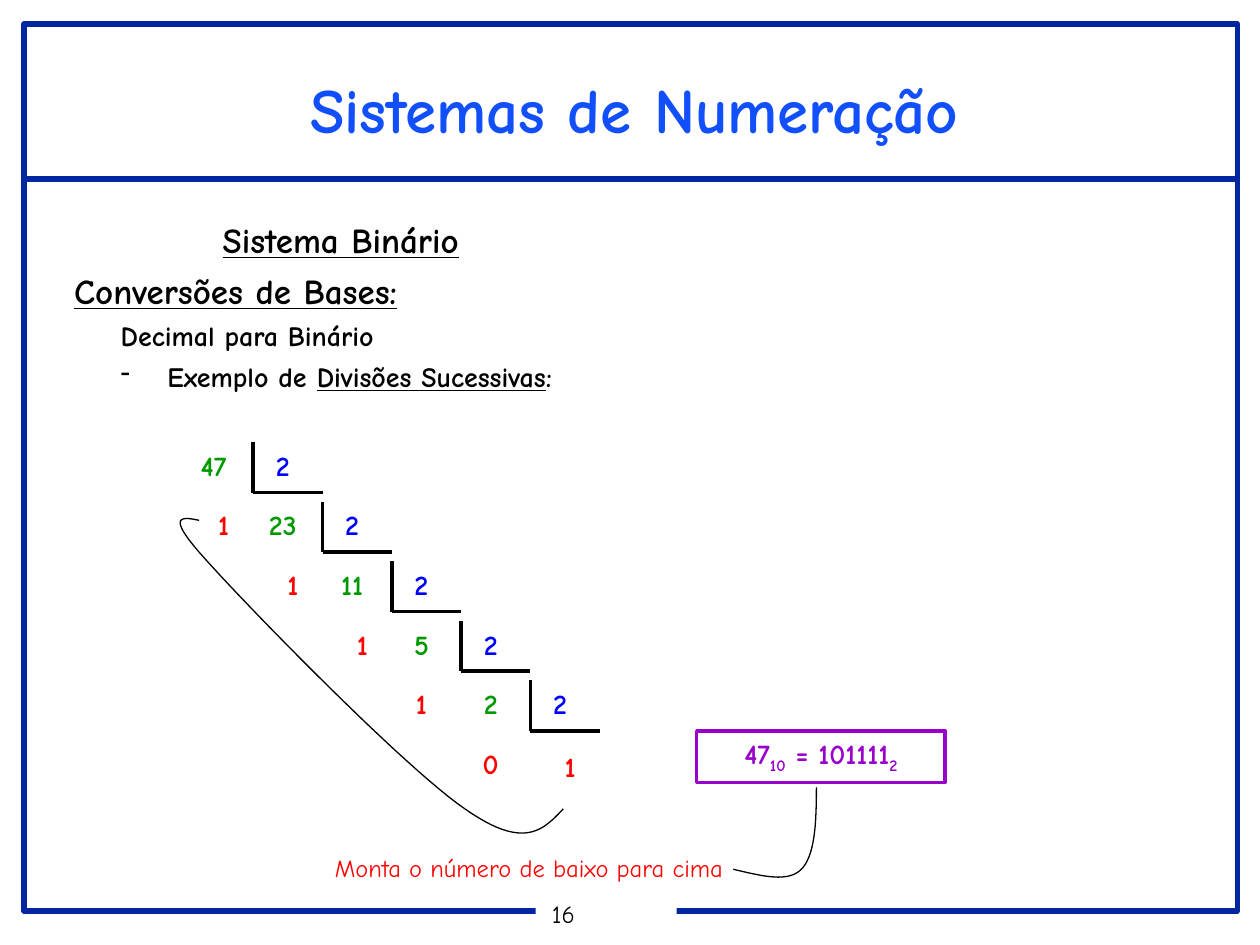
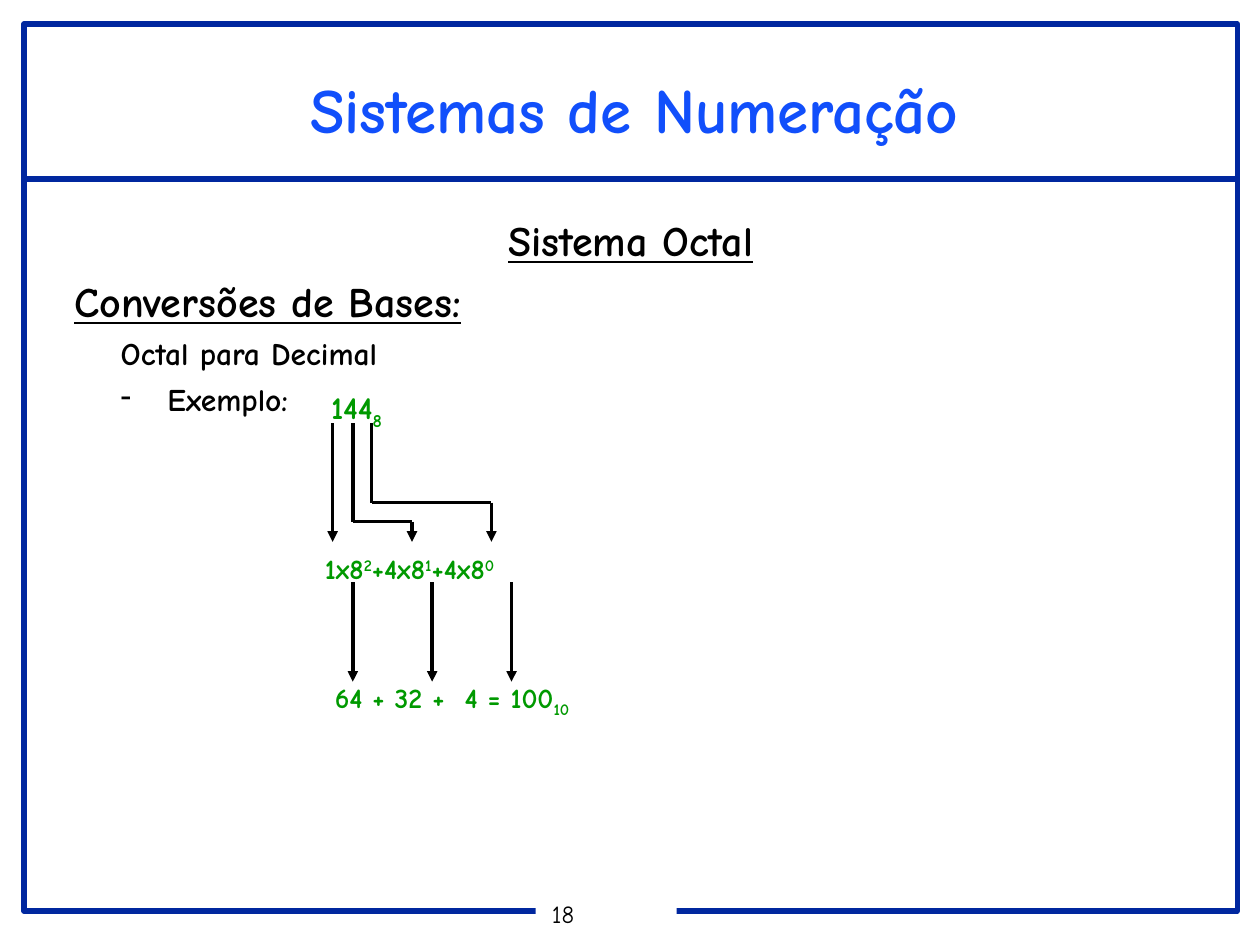
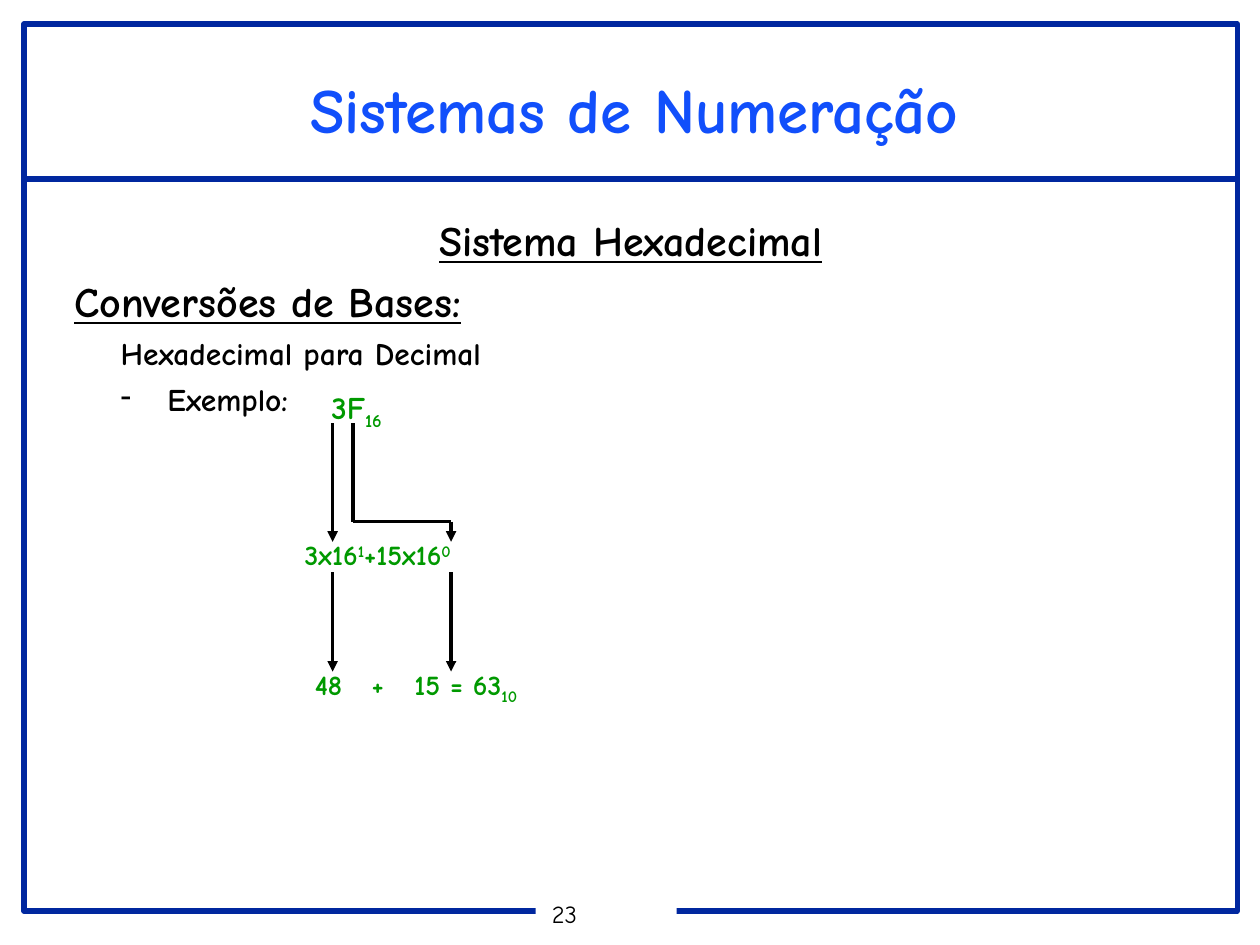
from lxml import etree
from pptx import Presentation
from pptx.dml.color import RGBColor
from pptx.enum.shapes import MSO_CONNECTOR, MSO_SHAPE
from pptx.enum.text import MSO_ANCHOR, MSO_AUTO_SIZE, PP_ALIGN
from pptx.oxml.ns import qn
from pptx.util import Inches, Pt

STRAIGHT = MSO_CONNECTOR.STRAIGHT
RECTANGLE = MSO_SHAPE.RECTANGLE
TOP = MSO_ANCHOR.TOP
LEFT, CENTER = PP_ALIGN.LEFT, PP_ALIGN.CENTER
FONT = "Comic Neue"
TITLE = "Sistemas de Numeração"
SUB, SUPER = -25000, 30000
TITLE_ONLY = 5
COLORS = {
    "frame": "00279F",
    "title": "114FFB",
    "text": "000000",
    "page": "FFFFFF",
    "quotient": "009900",
    "divisor": "0000FF",
    "remainder": "FF0000",
    "result": "9900CC",
}


def color(name):
    return RGBColor.from_string(COLORS[name])


def format_span(span, size, color_name, bold=True, underline=False, baseline=0):
    font = span.font
    font.name = FONT
    font.size = Pt(size)
    font.bold = bold
    font.underline = underline
    font.color.rgb = color(color_name)
    if baseline:
        font._element.set("baseline", str(baseline))


def set_frame(frame, side=0.1, edge=0.05):
    frame.word_wrap = True
    frame.auto_size = MSO_AUTO_SIZE.NONE
    frame.vertical_anchor = TOP
    frame.margin_left = frame.margin_right = Inches(side)
    frame.margin_top = frame.margin_bottom = Inches(edge)


def write_spans(para, spans, size, color_name, bold=True, align=LEFT):
    para.alignment = align
    for text, baseline in spans:
        span = para.add_run()
        span.text = text
        format_span(span, size, color_name, bold, baseline=baseline)


def add_text(page, at, spans, color_name, size=16, align=LEFT, bold=True, tabs=()):
    box = page.shapes.add_textbox(*map(Inches, at))
    set_frame(box.text_frame)
    para = box.text_frame.paragraphs[0]
    if tabs:
        tab_list = etree.SubElement(para._p.get_or_add_pPr(), qn("a:tabLst"))
        for stop in tabs:
            etree.SubElement(tab_list, qn("a:tab"), pos=str(Inches(stop)), algn="l")
    write_spans(para, spans, size, color_name, bold, align)


def add_number(page, left, top, text, color_name):
    add_text(page, (left, top, 0.47, 0.37), [(text, 0)], color_name, align=CENTER)


def add_rectangle(page, at, fill=None, line=None, width=0):
    box = page.shapes.add_shape(RECTANGLE, *map(Inches, at))
    box.shadow.inherit = False
    if fill:
        box.fill.solid()
        box.fill.fore_color.rgb = color(fill)
    else:
        box.fill.background()
    if line:
        box.line.color.rgb = color(line)
        box.line.width = Pt(width)
    else:
        box.line.fill.background()
    return box


def add_route(page, points, arrow=False, color_name="text", width=2):
    for start, end in zip(points, points[1:]):
        line = page.shapes.add_connector(STRAIGHT, *map(Inches, start + end))
        line.line.color.rgb = color(color_name)
        line.line.width = Pt(width)
        etree.SubElement(line._element.spPr, qn("a:effectLst"))
    if arrow:
        etree.SubElement(line.line._get_or_add_ln(), qn("a:tailEnd"), type="triangle")


def curve_point(p0, p1, p2, p3, t):
    s = 1 - t
    return tuple(
        Inches(s**3 * a + 3 * s * s * t * b + 3 * s * t * t * c + t**3 * d)
        for a, b, c, d in zip(p0, p1, p2, p3)
    )


def add_curve(page, points, steps=24):
    outline = []
    for first in range(0, len(points) - 1, 3):
        segment = points[first:first + 4]
        outline += [curve_point(*segment, step / steps) for step in range(1, steps + 1)]
    builder = page.shapes.build_freeform(*map(Inches, points[0]))
    builder.add_line_segments(outline, close=False)
    curve = builder.convert_to_shape()
    curve.shadow.inherit = False
    curve.fill.background()
    curve.line.color.rgb = color("text")
    curve.line.width = Pt(0.75)


def add_page(deck, number):
    page = deck.slides.add_slide(deck.slide_layouts[TITLE_ONLY])
    add_route(page, [(0.19, 1.42), (9.81, 1.42)], color_name="frame", width=3)
    add_rectangle(page, (0.19, 0.19, 9.63, 7.04), line="frame", width=3)
    label = add_rectangle(page, (4.25, 7.13, 1.12, 0.27), fill="page")
    set_frame(label.text_frame, 0.13, 0.03)
    para = label.text_frame.paragraphs[0]
    para.line_spacing = 0.9
    write_spans(para, [(str(number), 0)], 14, "text", bold=False)

    title = page.shapes.title
    title.left, title.top, title.width, title.height = map(Inches, (2.06, 0.57, 5.95, 1.2))
    set_frame(title.text_frame, 0.07, 0.03)
    title.text_frame.text = TITLE
    para = title.text_frame.paragraphs[0]
    para.alignment = CENTER
    para.line_spacing = 0.95
    format_span(para.runs[0], 36, "title")
    return page


def add_outline(page, at, system, conversion, example, sizes, gaps):
    box = page.shapes.add_textbox(*map(Inches, at))
    frame = box.text_frame
    set_frame(frame)
    frame.text = "\n".join([system, "Conversões de Bases:", conversion])
    for index, para in enumerate(frame.paragraphs):
        heading = index < 2
        format_span(para.runs[0], sizes[not heading], "text", underline=heading)
    frame.paragraphs[0].alignment = CENTER
    item = frame.add_paragraph()
    for text, underline in example:
        span = item.add_run()
        span.text = text
        format_span(span, sizes[1], "text", underline=underline)
    for index, para in enumerate(frame.paragraphs):
        para.line_spacing = 0.9
        if index:
            para.space_before = Pt(gaps[index > 1])
        if index > 1:
            para.level = 1
            properties = para._p.get_or_add_pPr()
            properties.set("marL", str(Inches(0.74)))
            properties.set("indent", str(Inches(-0.37)))
            if para.text.startswith("Exemplo"):
                etree.SubElement(properties, qn("a:buChar"), char="-")
            else:
                etree.SubElement(properties, qn("a:buNone"))


def add_divisions(page, quotients, remainders):
    step_x, step_y = 0.55, 0.4725
    for index, (quotient, remainder) in enumerate(zip(quotients, remainders)):
        left, top = 1.46 + index * step_x, 3.51 + index * step_y
        corner = left + step_x
        add_number(page, left, top, quotient, "quotient")
        add_route(page, [(corner, top), (corner, top + 0.4), (corner + step_x, top + 0.4)])
        add_number(page, corner, top, "2", "divisor")
        shift = 0.08 if index < 3 else 0
        add_number(page, left + shift, top + step_y, remainder, "remainder")
    add_number(page, 4.29, 5.9, "1", "remainder")


def add_binary_page(deck):
    page = add_page(deck, 16)
    add_outline(
        page, (0.49, 1.72, 4.43, 5.13), "Sistema Binário", "Decimal para Binário",
        [("Exemplo de ", False), ("Divisões Sucessivas", True), (":", False)],
        (20, 16), (7.5, 6),
    )
    add_divisions(page, ["47", "23", "11", "5", "2"], "11110")
    result = add_rectangle(page, (5.53, 5.8, 1.97, 0.41), line="result", width=2)
    set_frame(result.text_frame)
    spans = [("47", 0), ("10", SUB), (" = 101111", 0), ("2", SUB)]
    write_spans(result.text_frame.paragraphs[0], spans, 16, "result", align=CENTER)
    add_curve(page, [
        (4.47, 6.42), (4.31, 6.59), (4.16, 6.75), (3.69, 6.42), (3.22, 6.1),
        (2, 4.85), (1.65, 4.46), (1.3, 4.08), (1.44, 4.1), (1.58, 4.13),
    ])
    add_text(page, (2.56, 6.72, 3.4, 0.32), [("Monta o número de baixo para cima", 0)],
             "remainder", size=14, bold=False)
    add_curve(page, [
        (5.82, 6.9), (6.04, 6.95), (6.25, 7.01), (6.36, 6.9),
        (6.47, 6.79), (6.48, 6.52), (6.48, 6.25),
    ])


def add_decimal_page(deck, number, system, conversion, source, powers, total, routes, drops):
    page = add_page(deck, number)
    add_outline(page, (0.49, 1.7, 9.03, 5.13), system, conversion,
                [("Exemplo:", False)], (24, 18), (9, 6.8))
    add_text(page, (2.4, 3.03, 0.86, 0.44), source, "quotient", size=18, align=CENTER)
    add_text(page, *powers, "quotient")
    total_at, total_spans, tabs = total
    add_text(page, total_at, total_spans, "quotient", tabs=tabs)
    for start, bend, end in routes:
        points = [(start, 3.36), (start, bend), (end, bend), (end, 4.3)]
        add_route(page, points if start != end else [points[0], points[-1]], arrow=True)
    columns, top = drops
    for left in columns:
        add_route(page, [(left, top), (left, top + 0.79)], arrow=True)


def main():
    deck = Presentation()
    deck.slide_width, deck.slide_height = Inches(10), Inches(7.5)
    add_binary_page(deck)
    add_decimal_page(
        deck, 18, "Sistema Octal", "Octal para Decimal",
        source=[("144", 0), ("8", SUB)],
        powers=((2.48, 4.33, 1.97, 0.37), [
            ("1x8", 0), ("2", SUPER), ("+4x8", 0), ("1", SUPER), ("+4x8", 0), ("0", SUPER),
        ]),
        total=((2.56, 5.35, 2.6, 0.41), [("64 + 32 +\t4 = 100", 0), ("10", SUB)], [1.03]),
        routes=[(2.64, 4.3, 2.64), (2.8, 4.14, 3.27), (2.95, 3.99, 3.9)],
        drops=((2.8, 3.43, 4.06), 4.62),
    )
    add_decimal_page(
        deck, 23, "Sistema Hexadecimal", "Hexadecimal para Decimal",
        source=[("3F", 0), ("16", SUB)],
        powers=((2.32, 4.22, 1.81, 0.37), [
            ("3x16", 0), ("1", SUPER), ("+15x16", 0), ("0", SUPER),
        ]),
        total=((2.4, 5.25, 2.28, 0.41), [("48\t+\t15 = 63", 0), ("10", SUB)], [0.45, 0.79]),
        routes=[(2.64, 4.3, 2.64), (2.8, 4.14, 3.58)],
        drops=((2.64, 3.58), 4.54),
    )
    deck.save("out.pptx")


if __name__ == "__main__":
    main()
